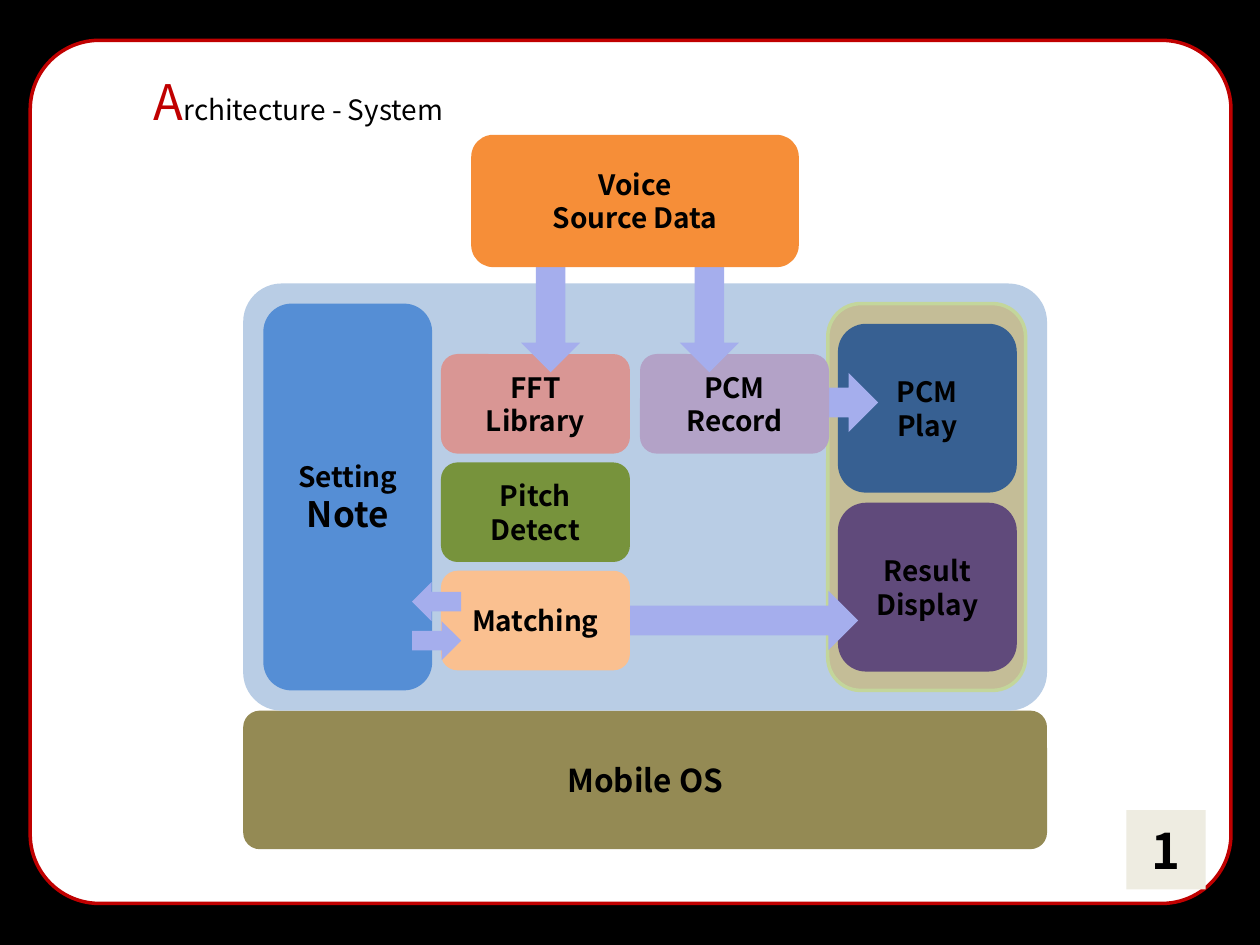
from dataclasses import dataclass
from typing import Optional

import pptx
import pptx.dml.color
import pptx.enum.shapes
import pptx.enum.text
import pptx.util

Inches = pptx.util.Inches
Pt = pptx.util.Pt
Shape = pptx.enum.shapes.MSO_SHAPE
Anchor = pptx.enum.text.MSO_ANCHOR
Align = pptx.enum.text.PP_ALIGN

FONT = "Noto Sans CJK KR"
BLACK, RED, ARROW_COLOUR = "000000", "C00000", "A5AEED"

# Grid of the module boxes
MODULE_W, MODULE_H = 1.5, 0.79
LEFT_COLUMN, RIGHT_COLUMN = 3.5, 5.08
MODULE_TOP, MODULE_STEP = 2.81, 0.86
OUTPUT_X, OUTPUT_W, OUTPUT_H = 6.65, 1.42, 1.34
LAYER_X, LAYER_W = 1.93, 6.38


@dataclass
class Box:
    left: float
    top: float
    width: float
    height: float
    fill: str
    lines: tuple[str, ...] = ()
    sizes: tuple[int, ...] = (16, 16)
    corner: Optional[float] = None
    outline: Optional[str] = None
    kind: Shape = Shape.ROUNDED_RECTANGLE


@dataclass
class Arrow:
    left: float
    top: float
    length: float
    thickness: float = 0.47
    rotation: int = 0


def colour(value: str) -> pptx.dml.color.RGBColor:
    return pptx.dml.color.RGBColor.from_string(value)


def module(column: float, row: int, fill: str, label: str) -> Box:
    return Box(column, MODULE_TOP + row * MODULE_STEP, MODULE_W, MODULE_H, fill, (label,))


def add_filled(page, kind, left, top, width, height, fill):
    shape = page.shapes.add_shape(
        kind, Inches(left), Inches(top), Inches(width), Inches(height))
    shape.shadow.inherit = False
    shape.fill.solid()
    shape.fill.fore_color.rgb = colour(fill)
    shape.line.fill.background()
    return shape


def draw_box(page, box: Box):
    shape = add_filled(page, box.kind, box.left, box.top, box.width, box.height, box.fill)
    if box.corner is not None:
        shape.adjustments[0] = box.corner
    if box.outline:
        shape.line.color.rgb = colour(box.outline)
        shape.line.width = Pt(2)
    if box.lines:
        frame = shape.text_frame
        frame.text = "\n".join(box.lines)
        frame.word_wrap = True
        frame.vertical_anchor = Anchor.MIDDLE
        for para, size in zip(frame.paragraphs, box.sizes):
            para.alignment = Align.CENTER
            para.font.name = FONT
            para.font.size = Pt(size)
            para.font.bold = True
            para.font.color.rgb = colour(BLACK)
    return shape


def draw_arrow(page, arrow: Arrow) -> None:
    shape = add_filled(page, Shape.RIGHT_ARROW, arrow.left, arrow.top,
                       arrow.length, arrow.thickness, ARROW_COLOUR)
    shape.rotation = arrow.rotation


def write_title(title) -> None:
    title.left, title.top = Inches(1.12), Inches(0.52)
    title.width, title.height = Inches(2.75), Inches(0.57)
    frame = title.text_frame
    frame.word_wrap = False
    frame.auto_size = pptx.enum.text.MSO_AUTO_SIZE.NONE
    frame.vertical_anchor = Anchor.TOP
    para = frame.paragraphs[0]
    para.alignment = Align.LEFT
    para.font.name = FONT
    for text, size, value in (("A", 28, RED), ("rchitecture - System", 16, BLACK)):
        span = para.add_run()
        span.text = text
        span.font.size = Pt(size)
        span.font.color.rgb = colour(value)


# Diagram parts from back to front
PARTS = (
    # Layers and output group
    Box(LAYER_X, 5.64, LAYER_W, 1.1, "948A54", ("Mobile OS",), (18,), 0.12),
    Box(LAYER_X, 2.25, LAYER_W, 3.39, "B9CDE5", corner=0.09),
    Box(6.57, 2.41, 1.57, 3.07, "C4BD97", outline="C3D69B"),
    Box(OUTPUT_X, 3.99, OUTPUT_W, OUTPUT_H, "604A7B", ("Result", "Display")),
    Box(OUTPUT_X, 2.57, OUTPUT_W, OUTPUT_H, "376092", ("PCM", "Play")),
    # Processing modules and their flows
    Arrow(4.84, 4.69, 1.97),
    module(LEFT_COLUMN, 1, "77933C", "Pitch Detect"),
    module(LEFT_COLUMN, 0, "D99694", "FFT Library"),
    Arrow(3.86, 2.21, 1.02, rotation=90),
    Arrow(6.1, 2.96, 0.87),
    module(RIGHT_COLUMN, 0, "B3A2C7", "PCM Record"),
    # Settings exchange with matching
    Box(2.09, 2.41, 1.34, 3.07, "558ED5", ("Setting", "Note"), (16, 20)),
    module(LEFT_COLUMN, 2, "FAC090", "Matching"),
    Arrow(3.27, 4.93, 0.39, 0.31),
    Arrow(3.27, 4.62, 0.39, 0.31, 180),
    # Voice input
    Arrow(5.16, 2.25, 0.94, rotation=90),
    Box(3.74, 1.07, 2.6, 1.05, "F68E38", ("Voice", "Source Data")),
    # Page number
    Box(8.94, 6.43, 0.63, 0.63, "EEECE1", ("1",), (28,), kind=Shape.RECTANGLE),
)


def main() -> None:
    deck = pptx.Presentation()
    deck.slide_width, deck.slide_height = Inches(10), Inches(7.5)
    page = deck.slides.add_slide(deck.slide_layouts[5])
    page.background.fill.solid()
    page.background.fill.fore_color.rgb = colour(BLACK)

    # White panel goes behind the title
    panel = draw_box(page, Box(0.24, 0.32, 9.53, 6.85, "FFFFFF", corner=0.08, outline=RED))
    title = page.shapes.title
    title.element.addprevious(panel.element)
    write_title(title)

    for part in PARTS:
        if isinstance(part, Arrow):
            draw_arrow(page, part)
        else:
            draw_box(page, part)

    deck.save("out.pptx")


if __name__ == "__main__":
    main()
